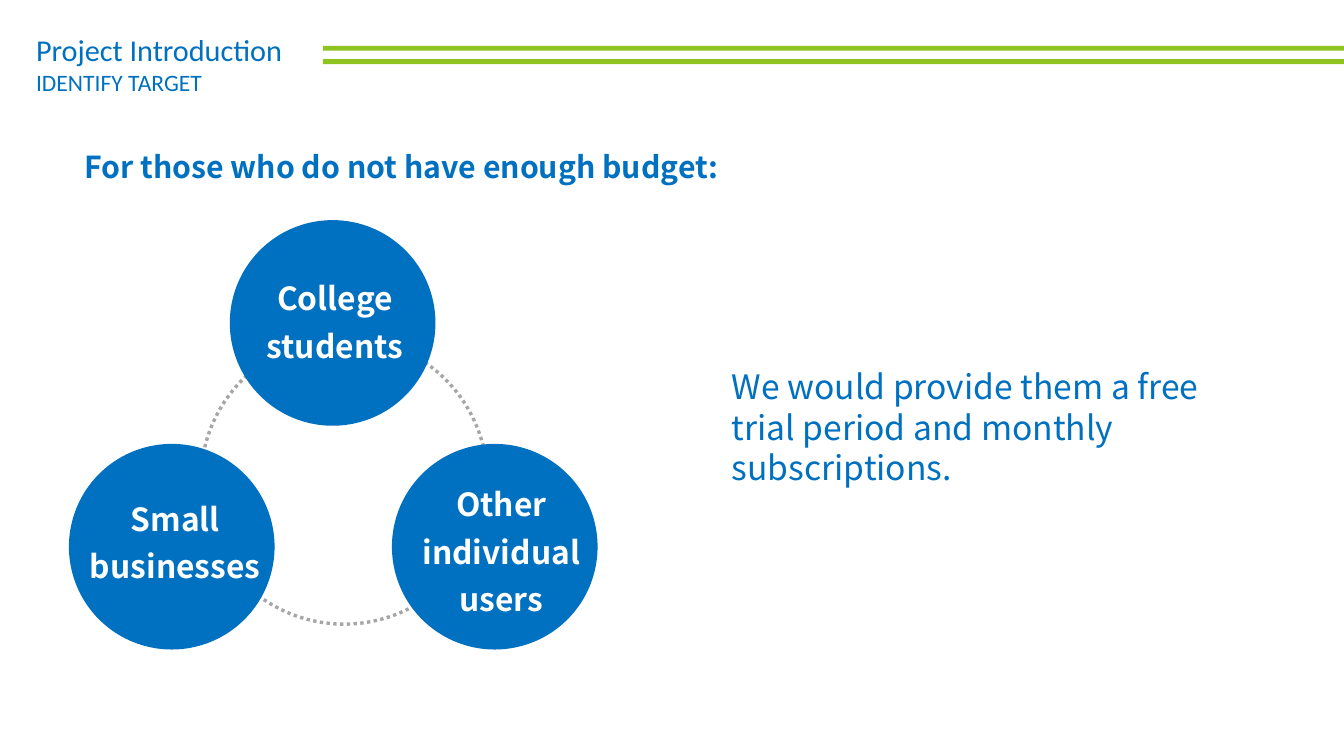
from pptx import Presentation
from pptx.dml.color import RGBColor
from pptx.enum.dml import MSO_LINE
from pptx.enum.shapes import MSO_SHAPE
from pptx.enum.text import PP_ALIGN
from pptx.util import Inches, Pt

BLUE = "0070C0"
GREEN = "8FC31F"
GREY = "A6A6A6"
WHITE = "FFFFFF"
SANS = "Noto Sans CJK SC"

HEADING = {"name": SANS, "size": Pt(18), "bold": True}
BODY = {"name": SANS, "size": Pt(20)}
LABEL = {"name": SANS, "size": Pt(18.9), "bold": True}
TITLE = {"name": "Calibri", "size": Pt(18)}
SUBTITLE = {"name": "Calibri", "size": Pt(14)}
CENTRED = {"alignment": PP_ALIGN.CENTER, "line_spacing": 1.25}

CIRCLE_SIZE = 1.7
AUDIENCES = [
    ((0.57, 3.67), (0.6, 4, 1.7, 0.86), ["Small", "businesses"]),
    ((1.9, 1.82), (2.04, 2.18, 1.46, 0.86), ["College", "students"]),
    ((3.24, 3.67), (3.32, 3.88, 1.65, 1.26), ["Other", "individual users"]),
]


def colour(value):
    return RGBColor.from_string(value)


def apply_format(target, values):
    for name, value in values.items():
        setattr(target, name, value)


def add_solid(page, kind, place, fill):
    shape = page.shapes.add_shape(kind, *map(Inches, place))
    shape.shadow.inherit = False
    shape.fill.solid()
    shape.fill.fore_color.rgb = colour(fill)
    shape.line.fill.background()


def add_ring(page, place):
    ring = page.shapes.add_shape(MSO_SHAPE.OVAL, *map(Inches, place))
    ring.shadow.inherit = False
    ring.fill.background()
    ring.line.color.rgb = colour(GREY)
    apply_format(ring.line, {"width": Pt(2), "dash_style": MSO_LINE.ROUND_DOT})


def add_text(page, place, lines, fill=BLUE, layout={}):
    box = page.shapes.add_textbox(*map(Inches, place))
    frame = box.text_frame
    frame.word_wrap = True
    for index, (text, font) in enumerate(lines):
        para = frame.add_paragraph() if index else frame.paragraphs[0]
        apply_format(para, layout)
        span = para.add_run()
        span.text = text
        apply_format(span.font, font)
        span.font.color.rgb = colour(fill)


def add_audiences(page):
    add_ring(page, (1.66, 2.79, 2.37, 2.37))
    for corner, label_place, words in AUDIENCES:
        add_solid(page, MSO_SHAPE.OVAL, (*corner, CIRCLE_SIZE, CIRCLE_SIZE), BLUE)
        add_text(page, label_place, [(word, LABEL) for word in words], WHITE, CENTRED)


def main():
    deck = Presentation()
    apply_format(deck, {"slide_width": Inches(11.11), "slide_height": Inches(6.25)})
    page = deck.slides.add_slide(deck.slide_layouts[6])

    for top in (0.38, 0.49):
        add_solid(page, MSO_SHAPE.RECTANGLE, (2.67, top, 8.44, 0.04), GREEN)
    add_text(page, (0.2, 0.21, 3.43, 0.64),
             [("Project Introduction", TITLE), ("IDENTIFY TARGET", SUBTITLE)])
    add_text(page, (0.6, 1.18, 6.41, 0.71),
             [("For those who do not have enough budget:", HEADING)])
    add_audiences(page)
    add_text(page, (5.95, 2.98, 4.25, 1.1),
             [("We would provide them a free trial period and monthly subscriptions.", BODY)])

    deck.save("out.pptx")


if __name__ == "__main__":
    main()
